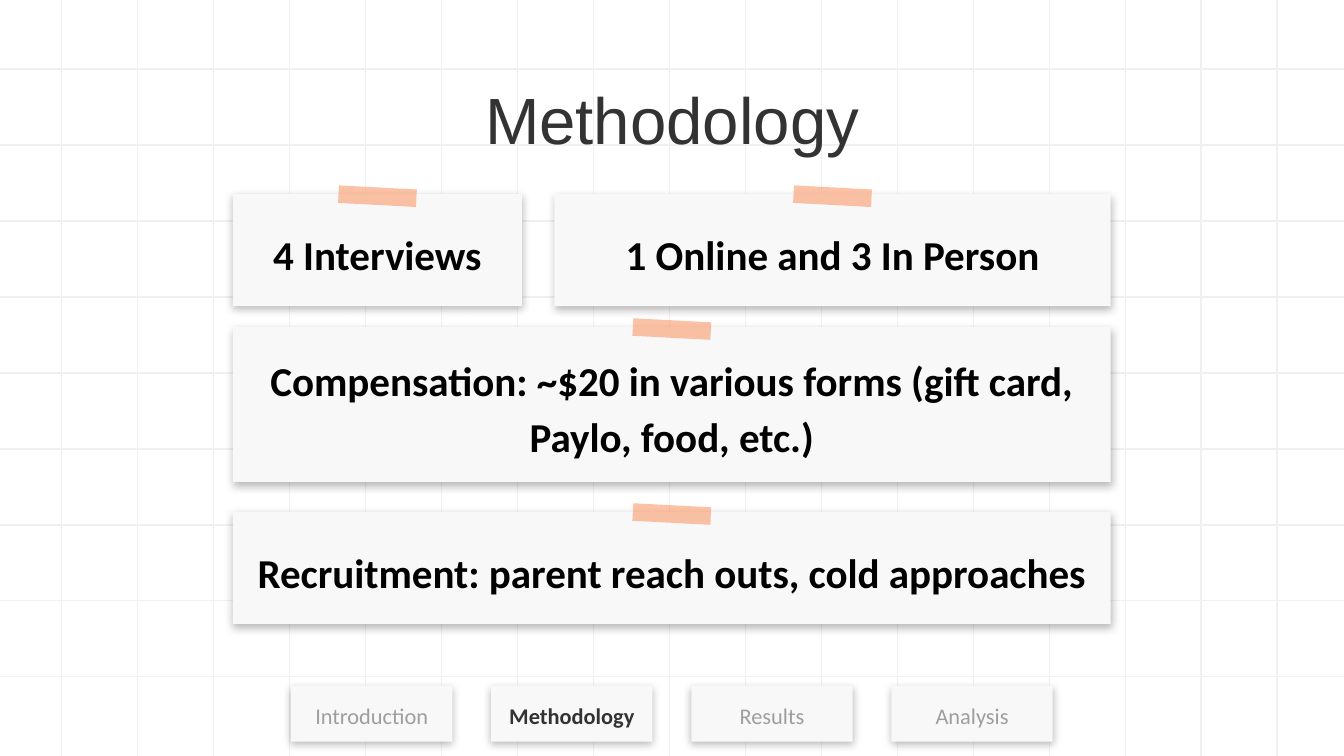
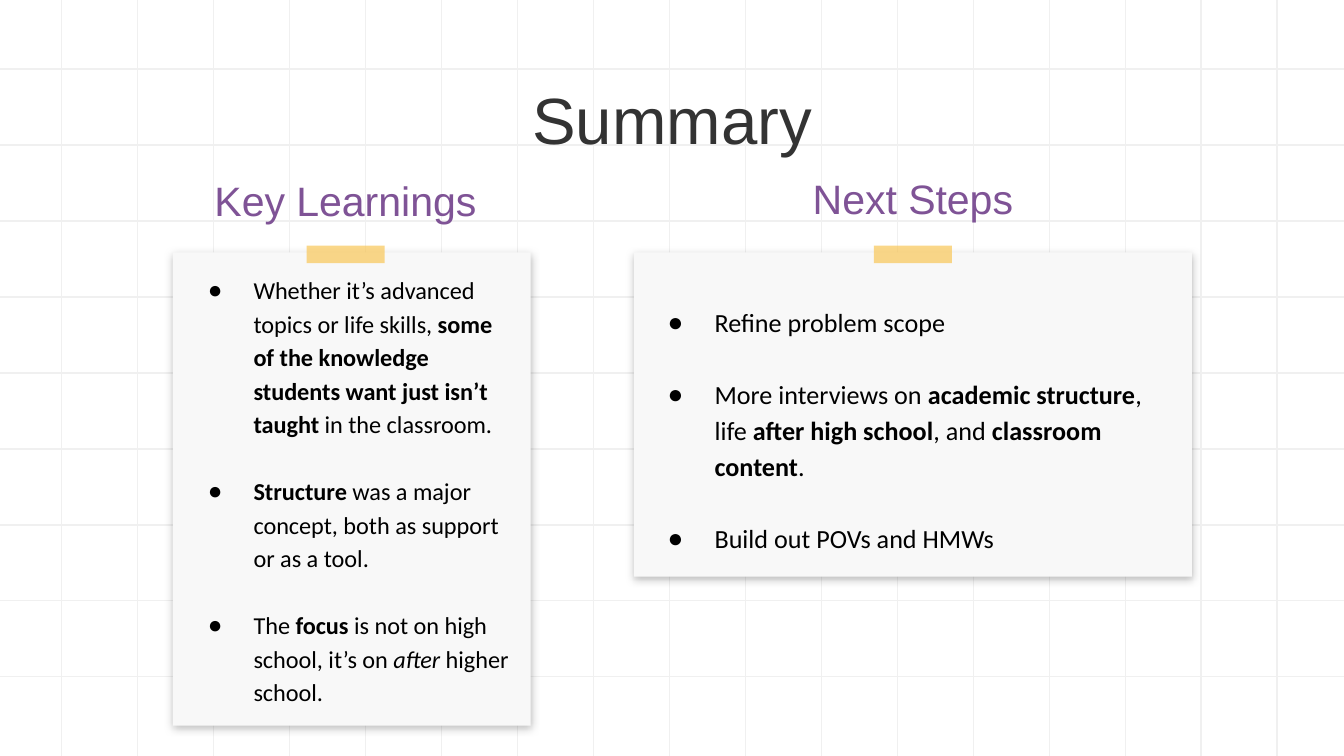
from dataclasses import dataclass
from typing import Any, NamedTuple

from lxml import etree
from pptx import Presentation
from pptx.dml.color import RGBColor
from pptx.enum.shapes import MSO_CONNECTOR, MSO_SHAPE
from pptx.enum.text import MSO_ANCHOR, MSO_AUTO_SIZE, PP_ALIGN
from pptx.oxml.ns import qn
from pptx.util import Pt

STRAIGHT, RECTANGLE = MSO_CONNECTOR.STRAIGHT, MSO_SHAPE.RECTANGLE
TOP, MIDDLE = MSO_ANCHOR.TOP, MSO_ANCHOR.MIDDLE
LEFT, CENTER = PP_ALIGN.LEFT, PP_ALIGN.CENTER
NO_AUTOFIT = MSO_AUTO_SIZE.NONE

SLIDE_WIDTH, SLIDE_HEIGHT = 720, 405
TITLE_ONLY, COMPARISON = 5, 4
GRID_STEP, GRID_LEFT, GRID_TOP = 40.7, 33, 37
GRID_COLUMNS, GRID_ROWS = 17, 9
INSET, LINE_SPACING = 7.2, 1.15

INK, BLACK, MUTED, PURPLE = "333333", "000000", "9E9E9E", "7F5396"
GRID_GREY, PAPER, WHITE = "F0F0F0", "F8F8F8", "FFFFFF"


class Box(NamedTuple):
    left: float
    top: float
    width: float
    height: float

    @property
    def center(self) -> float:
        return self.left + self.width / 2


class Run(NamedTuple):
    text: str
    bold: bool = False
    italic: bool = False


class Shadow(NamedTuple):
    color: str
    opacity: int


class Tape(NamedTuple):
    color: str
    opacity: int
    rotation: float


@dataclass
class TextStyle:
    size: float
    font: str = "Calibri"
    color: str = BLACK
    align: Any = CENTER
    anchor: Any = MIDDLE
    spacing: float = LINE_SPACING
    gap: float = 0
    hanging: float = 0
    top_inset: float = INSET


@dataclass
class Card:
    box: Box
    text: str


@dataclass
class Column:
    heading: str
    heading_box: Box
    card_box: Box
    items: list[list[Run]]
    style: TextStyle


TITLE_BOX = Box(56.7, 35.3, 607, 45.4)
TITLE = TextStyle(35, "Arial", INK, anchor=TOP, spacing=1)
HEADING = TextStyle(22, "Arial", PURPLE, anchor=TOP)
STATEMENT = TextStyle(22)
METHOD_SHADOW, SUMMARY_SHADOW = Shadow(INK, 34), Shadow(BLACK, 25)
ORANGE_TAPE, YELLOW_TAPE = Tape("FA9563", 57, 3), Tape("F9C758", 70, 0)
TAPE_WIDTH, TAPE_HEIGHT, TAPE_OVERHANG = 41.8, 9.4, 3.6

SECTIONS = ["Introduction", "Methodology", "Results", "Analysis"]
FIRST_TAB, TAB_STEP = Box(156, 367.4, 86.4, 30), 107.2

METHOD_CARDS = [
    Card(Box(124.8, 104, 154.8, 60), "4 Interviews"),
    Card(Box(297, 104, 298, 60), "1 Online and 3 In Person"),
    Card(Box(124.8, 175.2, 470.2, 83),
         "Compensation: ~$20 in various forms (gift card, Paylo, food, etc.)"),
    Card(Box(124.8, 274.3, 470.2, 60),
         "Recruitment: parent reach outs, cold approaches"),
]

SUMMARY_COLUMNS = [
    Column(
        "Key Learnings",
        Box(92.6, 82.8, 185, 45.4),
        Box(92.6, 135.2, 191.7, 253.6),
        [
            [Run("Whether it’s advanced topics or life skills, "),
             Run("some of the knowledge students want just isn’t taught", bold=True),
             Run(" in the classroom.")],
            [Run("Structure", bold=True),
             Run(" was a major concept, both as support or as a tool.")],
            [Run("The "), Run("focus", bold=True),
             Run(" is not on high school, it’s on "),
             Run("after", italic=True), Run(" higher school.")],
        ],
        TextStyle(13, align=LEFT, gap=18, hanging=24.5),
    ),
    Column(
        "Next Steps",
        Box(396.6, 81.6, 185, 45.4),
        Box(339.6, 135.2, 299, 173.8),
        [
            [Run("Refine problem scope")],
            [Run("More interviews on "), Run("academic structure", bold=True),
             Run(", life"), Run(" after high school", bold=True), Run(", and "),
             Run("classroom content", bold=True), Run(".")],
            [Run("Build out POVs and HMWs")],
        ],
        TextStyle(14, align=LEFT, anchor=TOP, gap=19.3, hanging=25.2,
                  top_inset=INSET + 19.3),
    ),
]


def rgb(hex_color: str) -> RGBColor:
    return RGBColor.from_string(hex_color)


def assign(target: Any, values: dict[str, Any]) -> None:
    for name, value in values.items():
        setattr(target, name, value)


def place(shape: Any, box: Box) -> None:
    assign(shape, {side: Pt(length) for side, length in box._asdict().items()})


def add_alpha(color_parent: Any, color: str, opacity: int) -> None:
    """Put a part-transparent colour into a fill or shadow element."""
    tint = etree.SubElement(color_parent, qn("a:srgbClr"), val=color)
    etree.SubElement(tint, qn("a:alpha"), val=str(opacity * 1000))


def add_bullet(paragraph: Any, hanging: float) -> None:
    properties = paragraph._p.get_or_add_pPr()
    properties.set("marL", str(Pt(36)))
    properties.set("indent", str(-Pt(hanging)))
    bullet_color = etree.SubElement(properties, qn("a:buClr"))
    etree.SubElement(bullet_color, qn("a:srgbClr"), val=BLACK)
    etree.SubElement(properties, qn("a:buChar"), char="●")


def write(shape: Any, paragraphs: list[list[Run]], style: TextStyle) -> None:
    frame = shape.text_frame
    assign(frame, {
        "word_wrap": True, "auto_size": NO_AUTOFIT,
        "vertical_anchor": style.anchor,
        "margin_left": Pt(INSET), "margin_right": Pt(INSET),
        "margin_top": Pt(style.top_inset), "margin_bottom": Pt(INSET),
    })
    for index, runs in enumerate(paragraphs):
        paragraph = frame.add_paragraph() if index else frame.paragraphs[0]
        if style.hanging:
            add_bullet(paragraph, style.hanging)
        assign(paragraph, {
            "alignment": style.align, "line_spacing": style.spacing,
            "space_before": Pt(style.gap if index else 0), "space_after": Pt(0),
        })
        for part in runs:
            run = paragraph.add_run()
            run.text = part.text
            assign(run.font, {"name": style.font, "size": Pt(style.size),
                              "bold": part.bold, "italic": part.italic})
            run.font.color.rgb = rgb(style.color)


def make_paper(shape: Any, shadow: Shadow) -> None:
    """Give a shape the light paper fill and a soft shadow below it."""
    shape.fill.solid()
    shape.fill.fore_color.rgb = rgb(PAPER)
    shape.line.fill.background()
    shape.shadow.inherit = False
    effects = shape.element.spPr.find(qn("a:effectLst"))
    outer = etree.SubElement(effects, qn("a:outerShdw"), blurRad=str(Pt(4.5)),
                             dist=str(Pt(1.5)), dir="5400000",
                             algn="bl", rotWithShape="0")
    add_alpha(outer, *shadow)


def add_rectangle(slide: Any, box: Box) -> Any:
    return slide.shapes.add_shape(RECTANGLE, *(Pt(length) for length in box))


def add_paper(slide: Any, box: Box, text: Run, style: TextStyle) -> None:
    paper = add_rectangle(slide, box)
    make_paper(paper, METHOD_SHADOW)
    write(paper, [[text]], style)


def add_tape(slide: Any, center: float, card_top: float, tape: Tape) -> None:
    strip = add_rectangle(slide, Box(center - TAPE_WIDTH / 2, card_top - TAPE_OVERHANG,
                                     TAPE_WIDTH, TAPE_HEIGHT))
    strip.rotation = tape.rotation
    strip.shadow.inherit = False
    strip.line.fill.background()
    strip.fill.solid()
    strip.fill.fore_color.rgb = rgb(tape.color)
    solid = strip.element.spPr.find(qn("a:solidFill"))
    solid.clear()
    add_alpha(solid, tape.color, tape.opacity)


def add_grid(presentation: Any, slide: Any) -> None:
    """Draw the grid on a slide, then move it behind everything on the master."""
    columns = [GRID_LEFT + GRID_STEP * i for i in range(GRID_COLUMNS)]
    rows = [GRID_TOP + GRID_STEP * i for i in range(GRID_ROWS)]
    ends = [(x, 0, x, SLIDE_HEIGHT) for x in columns]
    ends += [(0, y, SLIDE_WIDTH, y) for y in rows]
    master_tree = presentation.slide_master.shapes.element
    for index, points in enumerate(ends):
        line = slide.shapes.add_connector(STRAIGHT, *(Pt(point) for point in points))
        line.line.color.rgb = rgb(GRID_GREY)
        line.line.width = Pt(0.75)
        etree.SubElement(line.element.spPr, qn("a:effectLst"))
        line.element.nvCxnSpPr.cNvPr.set("id", str(100 + index))
        master_tree.insert(2 + index, line.element)


def add_titled_slide(presentation: Any, layout: int, title: str) -> Any:
    slide = presentation.slides.add_slide(presentation.slide_layouts[layout])
    place(slide.shapes.title, TITLE_BOX)
    write(slide.shapes.title, [[Run(title)]], TITLE)
    return slide


def add_section_tabs(slide: Any, current: str) -> None:
    for index, section in enumerate(SECTIONS):
        active = section == current
        box = FIRST_TAB._replace(left=FIRST_TAB.left + TAB_STEP * index)
        add_paper(slide, box, Run(section, bold=active),
                  TextStyle(12, color=INK if active else MUTED))


def build_methodology(presentation: Any) -> Any:
    slide = add_titled_slide(presentation, TITLE_ONLY, "Methodology")
    for card in METHOD_CARDS:
        add_paper(slide, card.box, Run(card.text, bold=True), STATEMENT)
        add_tape(slide, card.box.center, card.box.top, ORANGE_TAPE)
    add_section_tabs(slide, "Methodology")
    return slide


def build_summary(presentation: Any) -> None:
    slide = add_titled_slide(presentation, COMPARISON, "Summary")
    bodies = list(slide.placeholders)[1:]
    for column, heading, card in zip(SUMMARY_COLUMNS, bodies[::2], bodies[1::2]):
        place(heading, column.heading_box)
        write(heading, [[Run(column.heading)]], HEADING)
        place(card, column.card_box)
        make_paper(card, SUMMARY_SHADOW)
        write(card, column.items, column.style)
        add_tape(slide, column.heading_box.center, column.card_box.top, YELLOW_TAPE)


def main() -> None:
    presentation = Presentation()
    assign(presentation, {"slide_width": Pt(SLIDE_WIDTH),
                          "slide_height": Pt(SLIDE_HEIGHT)})
    background = presentation.slide_master.background.fill
    background.solid()
    background.fore_color.rgb = rgb(WHITE)
    methodology = build_methodology(presentation)
    add_grid(presentation, methodology)
    build_summary(presentation)
    presentation.save("out.pptx")


if __name__ == "__main__":
    main()
